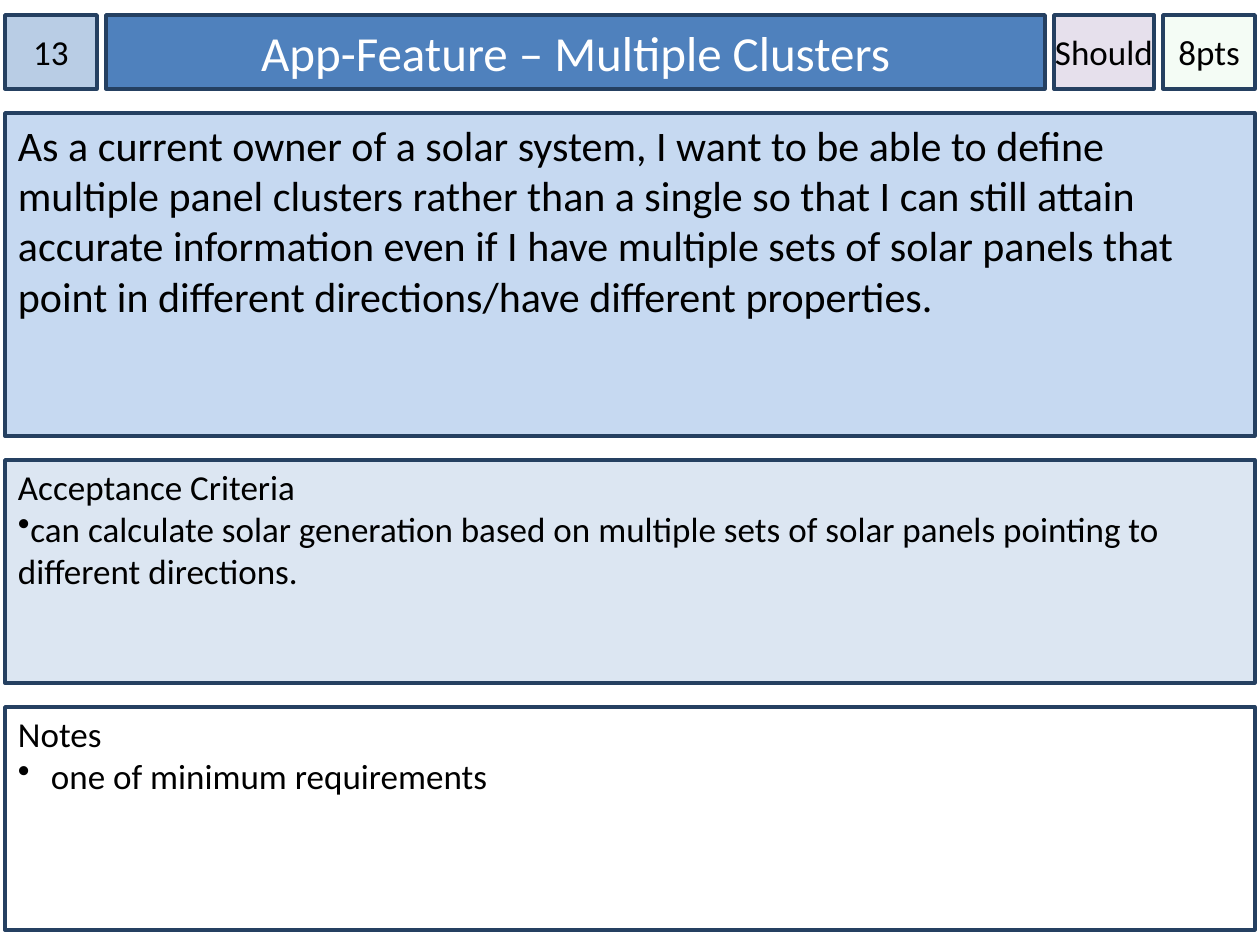
"""Build a user story card with a header row and three stacked panels."""
import pptx
import pptx.dml.color
import pptx.enum.shapes
import pptx.enum.text
import pptx.oxml
import pptx.oxml.ns
import pptx.util

RGBColor = pptx.dml.color.RGBColor
BLACK = RGBColor(0x00, 0x00, 0x00)
WHITE = RGBColor(0xFF, 0xFF, 0xFF)
NAVY = RGBColor(0x25, 0x40, 0x61)
BLUE = RGBColor(0x4F, 0x81, 0xBD)
STEEL = RGBColor(0xB9, 0xCD, 0xE5)
SKY = RGBColor(0xC6, 0xD9, 0xF1)
MIST = RGBColor(0xDC, 0xE6, 0xF2)
LILAC = RGBColor(0xE6, 0xE0, 0xEC)
GREEN = RGBColor(0xCC, 0xF0, 0xCD)

ALIGN = pptx.enum.text.PP_ALIGN
ANCHOR = pptx.enum.text.MSO_ANCHOR
LEFT, TOP = 5, 15
HEADER_HEIGHT, HEADER_GAP = 74, 9
PANEL_TOP, PANEL_WIDTH, PANEL_GAP = 113, 1250, 24


def px(count):
    return pptx.util.Emu(round(count * 914400 / 126))


def add_card(x, y, width, height, fill, lines, size, color, align, anchor, side, top):
    card = page.shapes.add_shape(
        pptx.enum.shapes.MSO_SHAPE.RECTANGLE, px(x), px(y), px(width), px(height))
    card.shadow.inherit = False
    card.fill.solid()
    card.fill.fore_color.rgb = fill
    card.line.color.rgb = NAVY
    card.line.width = pptx.util.Pt(2)
    frame = card.text_frame
    frame.word_wrap = True
    frame.vertical_anchor = anchor
    frame.margin_left = frame.margin_right = px(side)
    frame.margin_top, frame.margin_bottom = px(top), px(6)
    for index, line in enumerate(lines):
        para = frame.paragraphs[0] if index == 0 else frame.add_paragraph()
        para.text = line
        para.alignment = align
        para.font.name = "Calibri"
        para.font.size = pptx.util.Pt(size)
        para.font.color.rgb = color
    return card


deck = pptx.Presentation()
deck.slide_width, deck.slide_height = px(1260), px(945)
page = deck.slides.add_slide(deck.slide_layouts[6])

header = {}
x = LEFT
for name, width, fill, text, size, color, side in (
    ("number", 92, STEEL, "13", 20, BLACK, 0),
    ("title", 939, BLUE, "App-Feature – Multiple Clusters", 28, WHITE, 13),
    ("priority", 100, LILAC, "Should", 20, BLACK, 0),
    ("points", 92, GREEN, "8pts", 20, BLACK, 0),
):
    header[name] = add_card(x, TOP, width, HEADER_HEIGHT, fill, [text], size, color,
                            ALIGN.CENTER, ANCHOR.MIDDLE, side, 6)
    x += width + HEADER_GAP

header["priority"].text_frame.word_wrap = False
tint = next(header["points"].fill._xPr.iter(pptx.oxml.ns.qn("a:srgbClr")))
tint.append(pptx.oxml.parse_xml(
    f'<a:alpha {pptx.oxml.ns.nsdecls("a")} val="20000"/>'))

story = (
    "As a current owner of a solar system, I want to be able to define multiple panel "
    "clusters rather than a single so that I can still attain accurate information even "
    "if I have multiple sets of solar panels that point in different directions/have "
    "different properties."
)
criterion = (
    "can calculate solar generation based on multiple sets of solar panels pointing to "
    "different directions."
)
y = PANEL_TOP
for height, fill, lines, size, top, indent in (
    (323, SKY, [story], 24, 6, 0),
    (223, MIST, ["Acceptance Criteria", criterion], 20, 5, 0),
    (223, WHITE, ["Notes", " one of minimum requirements"], 20, 5, 25),
):
    panel = add_card(LEFT, y, PANEL_WIDTH, height, fill, lines, size, BLACK,
                     ALIGN.LEFT, ANCHOR.TOP, 13, top)
    for para in panel.text_frame.paragraphs[1:]:
        settings = para._p.get_or_add_pPr()
        settings.set("marL", str(px(indent)))
        settings.set("indent", str(-px(indent)))
        bullet = pptx.oxml.parse_xml(
            f'<a:buChar {pptx.oxml.ns.nsdecls("a")} char="•"/>')
        settings.insert_element_before(bullet, "a:tabLst", "a:defRPr", "a:extLst")
    y += height + PANEL_GAP

deck.save("out.pptx")
